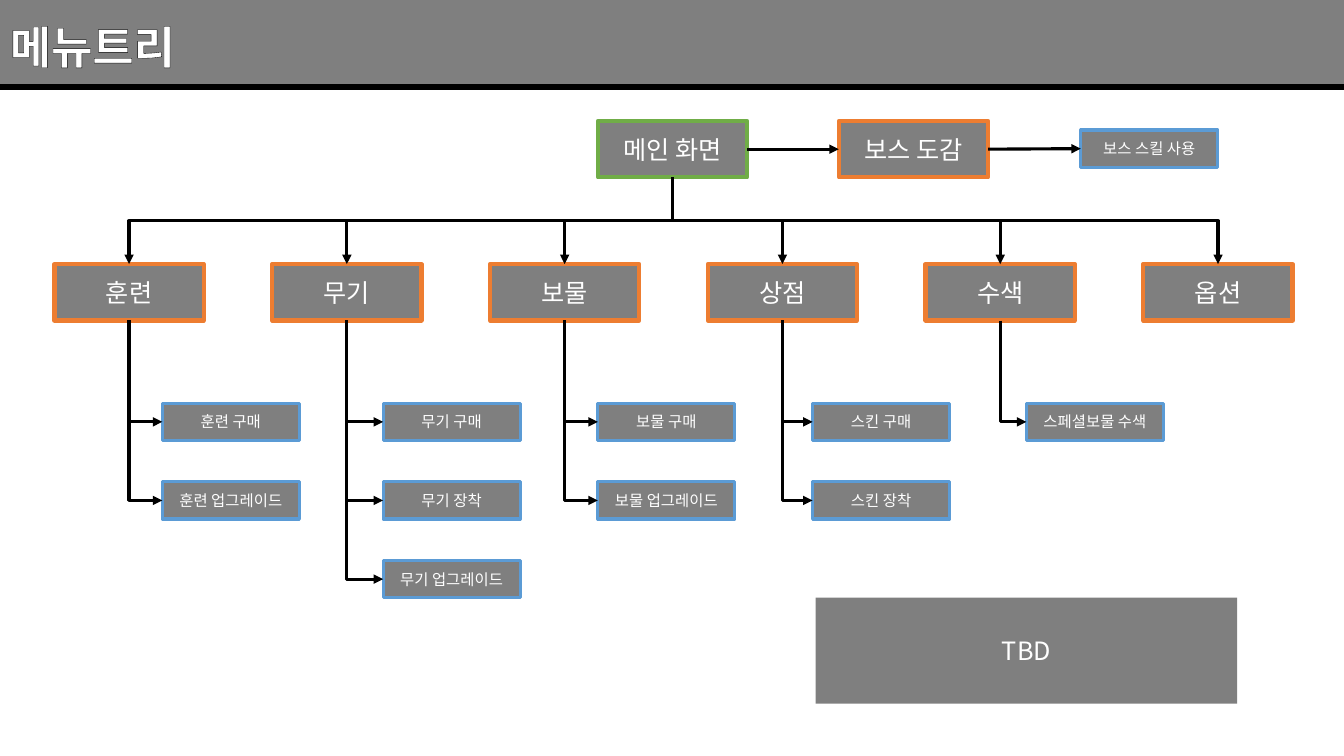
from lxml.etree import SubElement
from pptx import Presentation
from pptx.dml.color import RGBColor
from pptx.enum.shapes import MSO_CONNECTOR, MSO_SHAPE
from pptx.enum.text import MSO_ANCHOR, MSO_AUTO_SIZE, PP_ALIGN
from pptx.oxml import parse_xml
from pptx.oxml.ns import nsdecls, qn
from pptx.util import Inches, Pt

BLACK, WHITE, GRAY = "000000", "FFFFFF", "7F7F7F"
GREEN, ORANGE, BLUE = "70AD47", "ED7D31", "5B9BD5"
TOP, LEFT, BOTTOM, RIGHT = range(4)
BRANCHES = [
    ("훈련", 1.61, ["훈련 구매", "훈련 업그레이드"]),
    ("무기", 3.8, ["무기 구매", "무기 장착", "무기 업그레이드"]),
    ("보물", 5.93, ["보물 구매", "보물 업그레이드"]),
    ("상점", 8.06, ["스킨 구매", "스킨 장착"]),
    ("수색", 10.18, ["스페셜보물 수색"]),
    ("옵션", 0, []),
]


def color(value):
    return RGBColor.from_string(value)


class MenuTree:
    """Draws the boxes, links and title of a menu tree on one slide."""

    font_name = "Noto Sans CJK KR"

    def __init__(self, slide):
        self.shapes = slide.shapes

    def style(self, paragraph, size, bold=False):
        font = paragraph.font
        font.name, font.size, font.bold = self.font_name, Pt(size), bold
        font.color.rgb = color(WHITE)
        defaults = paragraph._p.pPr.find(qn("a:defRPr"))
        SubElement(defaults, qn("a:ea"), typeface=self.font_name)

    def box(self, left, top, width, height, text="", size=18, fill=GRAY):
        box = self.shapes.add_shape(MSO_SHAPE.RECTANGLE, Inches(left), Inches(top),
                                    Inches(width), Inches(height))
        box.shadow.inherit = False
        box.fill.solid()
        box.fill.fore_color.rgb = color(fill)
        box.line.fill.background()
        if text:
            frame = box.text_frame
            frame.vertical_anchor = MSO_ANCHOR.MIDDLE
            paragraph = frame.paragraphs[0]
            paragraph.text = text
            paragraph.alignment = PP_ALIGN.CENTER
            self.style(paragraph, size)
        return box

    def panel(self, left, top, width, height, text=""):
        panel = self.box(left, top, width, height, text, fill=BLACK)
        shade = panel.fill._xPr.find(qn("a:solidFill"))[0]
        SubElement(shade, qn("a:alpha"), val="50000")

    def menu(self, left, top, text, border=ORANGE):
        menu = self.box(left, top, 1.48, 0.56, text)
        menu.line.color.rgb, menu.line.width = color(border), Pt(3)
        return menu

    def action(self, left, top, text):
        action = self.box(left, top, 1.36, 0.37, text, 11)
        action.line.color.rgb, action.line.width = color(BLUE), Pt(2.25)
        return action

    def title(self, left, top, width, height, text):
        title = self.shapes.add_textbox(Inches(left), Inches(top), Inches(width), Inches(height))
        frame = title.text_frame
        frame.word_wrap = True
        frame.auto_size = MSO_AUTO_SIZE.SHAPE_TO_FIT_TEXT
        paragraph = frame.paragraphs[0]
        run = paragraph.add_run()
        run.text = text
        self.style(paragraph, 32, True)
        outline = parse_xml(f'<a:ln {nsdecls("a")} w="{Pt(1.5)}"><a:solidFill>'
                            f'<a:srgbClr val="{BLACK}"/></a:solidFill></a:ln>')
        run._r.get_or_add_rPr().insert(0, outline)

    def line(self, kind=MSO_CONNECTOR.STRAIGHT, start=(0, 0), end=(0, 0), weight=2.25):
        line = self.shapes.add_connector(kind, *map(Inches, start + end))
        line.line.color.rgb, line.line.width = color(BLACK), Pt(weight)
        SubElement(line._element.spPr, qn("a:effectLst"))
        return line

    def arrow(self, source, target, exit_side, entry_side, kind=MSO_CONNECTOR.STRAIGHT):
        arrow = self.line(kind)
        arrow.begin_connect(source, exit_side)
        arrow.end_connect(target, entry_side)
        SubElement(arrow.line._get_or_add_ln(), qn("a:tailEnd"), type="triangle")
        return arrow

    def elbow(self, source, target, entry_side):
        elbow = self.arrow(source, target, BOTTOM, entry_side, MSO_CONNECTOR.ELBOW)
        leftward = elbow.end_x < elbow.begin_x
        left, top, width, height = elbow.left, elbow.top, elbow.width, elbow.height
        elbow.left, elbow.top = left + (width - height) // 2, top + (height - width) // 2
        elbow.width, elbow.height = height, width
        frame = elbow._element.spPr.find(qn("a:xfrm"))
        frame.set("rot", "5400000" if leftward else "16200000")
        frame.set("flipH", "0" if leftward else "1")
        if entry_side == LEFT:
            elbow._element.spPr.find(qn("a:prstGeom")).set("prst", "bentConnector2")


def main():
    deck = Presentation()
    deck.slide_width, deck.slide_height = Inches(13.33), Inches(7.5)
    tree = MenuTree(deck.slides.add_slide(deck.slide_layouts[6]))

    tree.panel(0, 0, 13.33, 0.86)
    tree.line(start=(0, 0.86), end=(13.33, 0.86), weight=4.5)
    tree.title(0, 0.14, 5.46, 0.64, "메뉴트리")

    main_screen = tree.menu(5.93, 1.2, "메인 화면", GREEN)
    boss_book = tree.menu(8.32, 1.2, "보스 도감")
    boss_skill = tree.action(10.72, 1.29, "보스 스킬 사용")
    tree.arrow(main_screen, boss_book, RIGHT, LEFT)
    tree.arrow(boss_book, boss_skill, RIGHT, LEFT)

    for column, (name, action_left, actions) in enumerate(BRANCHES):
        branch = tree.menu(0.54 + 2.16 * column, 2.62, name)
        tree.elbow(main_screen, branch, TOP)
        for row, label in enumerate(actions):
            action = tree.action(action_left, 4 + 0.78 * row, label)
            tree.elbow(branch, action, LEFT)

    tree.panel(8.09, 5.93, 4.18, 1.05, "TBD")
    deck.save("out.pptx")


if __name__ == "__main__":
    main()
